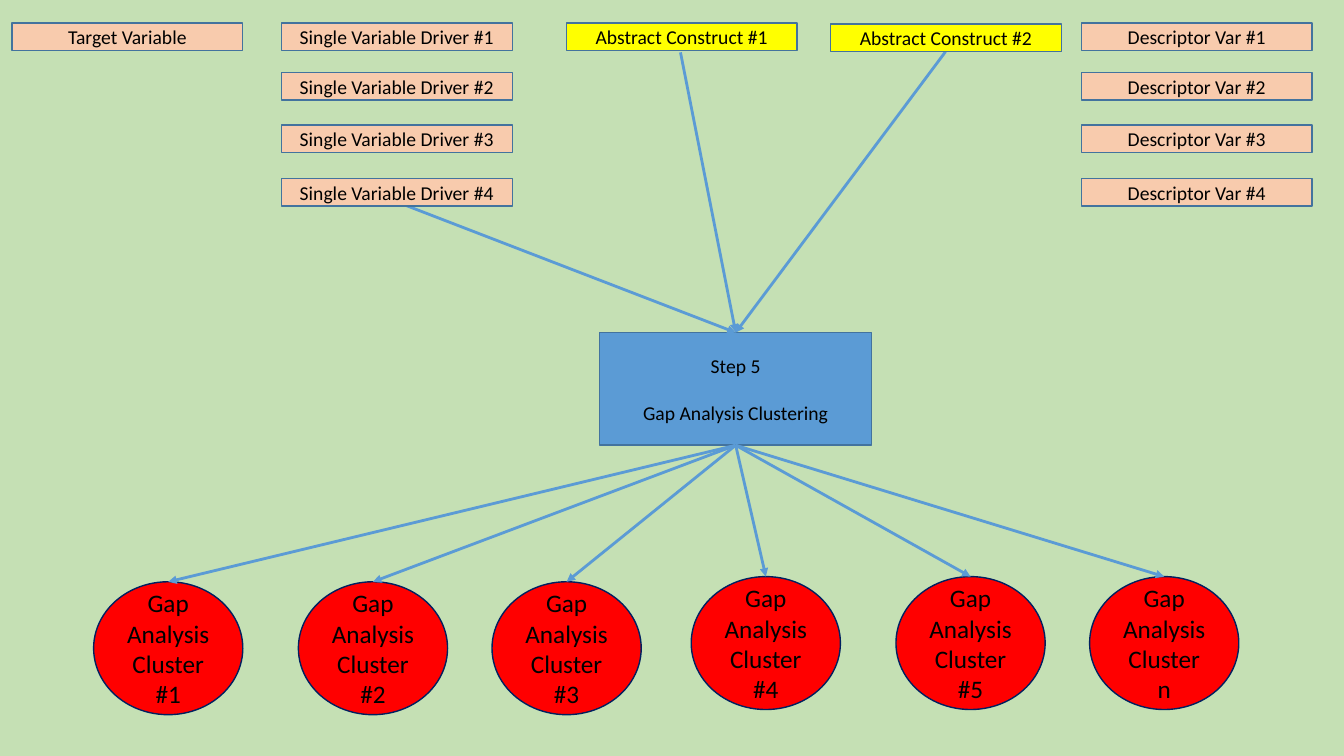
"""Builds the Step 5 gap analysis clustering slide."""
from dataclasses import dataclass

from lxml import etree
from pptx import Presentation
from pptx.dml.color import RGBColor
from pptx.enum.shapes import MSO_CONNECTOR, MSO_SHAPE
from pptx.enum.text import MSO_ANCHOR, PP_ALIGN
from pptx.oxml.ns import qn
from pptx.util import Cm, Pt

RECTANGLE, OVAL = MSO_SHAPE.RECTANGLE, MSO_SHAPE.OVAL
STRAIGHT = MSO_CONNECTOR.STRAIGHT
MIDDLE, CENTER = MSO_ANCHOR.MIDDLE, PP_ALIGN.CENTER


@dataclass(frozen=True)
class Theme:
    font: str = "Calibri"
    background: RGBColor = RGBColor(0xC5, 0xE0, 0xB4)
    text: RGBColor = RGBColor(0, 0, 0)
    blue: RGBColor = RGBColor(0x5B, 0x9B, 0xD5)
    outline: RGBColor = RGBColor(0x43, 0x73, 0x9E)
    variable: RGBColor = RGBColor(0xF8, 0xCB, 0xAD)
    construct: RGBColor = RGBColor(0xFF, 0xFF, 0)
    cluster: RGBColor = RGBColor(0xFF, 0, 0)
    cluster_outline: RGBColor = RGBColor(0, 0x20, 0x60)
    box_size: Pt = Pt(14)
    cluster_size: Pt = Pt(18)


theme = Theme()
presentation = Presentation()
presentation.slide_width, presentation.slide_height = Cm(33.87), Cm(19.05)
slide = presentation.slides.add_slide(presentation.slide_layouts[6])
slide.background.fill.solid()
slide.background.fill.fore_color.rgb = theme.background


def add_label(kind, box, lines, fill, outline, size, gap=0):
    shape = slide.shapes.add_shape(kind, *map(Cm, box))
    shape.shadow.inherit = False
    shape.fill.solid()
    shape.fill.fore_color.rgb = fill
    shape.line.color.rgb = outline
    shape.line.width = Pt(1)
    frame = shape.text_frame
    frame.word_wrap = True
    frame.vertical_anchor = MIDDLE
    frame.text = "\n".join(lines)
    for index, paragraph in enumerate(frame.paragraphs):
        paragraph.alignment = CENTER
        paragraph.space_before = Pt(gap if index else 0)
        paragraph.font.name = theme.font
        paragraph.font.size = size
        paragraph.font.color.rgb = theme.text


def add_arrow(start, end):
    connector = slide.shapes.add_connector(STRAIGHT, *map(Cm, start + end))
    connector.line.color.rgb = theme.blue
    connector.line.width = Pt(2)
    line = connector.line._get_or_add_ln()
    etree.SubElement(line, qn("a:tailEnd"), type="triangle")
    etree.SubElement(connector._element.spPr, qn("a:effectLst"))


step_left, step_top, step_width, step_height = 15.11, 8.38, 6.86, 2.84
step_center = step_left + step_width / 2
step_entry = (step_center, step_top)
step_exit = (step_center, step_top + step_height)
add_label(RECTANGLE, (step_left, step_top, step_width, step_height),
          ["Step 5", "Gap Analysis Clustering"],
          theme.blue, theme.outline, theme.box_size, gap=17)

for source in [(9.98, 5.08), (17.15, 1.32), (23.83, 1.3)]:
    add_arrow(source, step_entry)

box_width, box_height = 5.82, 0.69
row_tops = [0.58, 1.83, 3.15, 4.5]
columns = [
    (0.3, ["Target Variable"]),
    (7.09, [f"Single Variable Driver #{n}" for n in range(1, 5)]),
    (27.25, [f"Descriptor Var #{n}" for n in range(1, 5)]),
]
for left, names in columns:
    for top, name in zip(row_tops, names):
        add_label(RECTANGLE, (left, top, box_width, box_height), [name],
                  theme.variable, theme.outline, theme.box_size)

for left, top, name in [(14.27, 0.58, "Abstract Construct #1"),
                        (20.93, 0.61, "Abstract Construct #2")]:
    add_label(RECTANGLE, (left, top, box_width, box_height), [name],
              theme.construct, theme.outline, theme.box_size)

cluster_width, cluster_height = 3.76, 3.35
trio_offsets = [0, 5.16, 10.04]
trios = [(2.36, 14.66, ["#1", "#2", "#3"]), (17.42, 14.53, ["#4", "#5", "n"])]
for trio_left, top, suffixes in trios:
    for offset, suffix in zip(trio_offsets, suffixes):
        left = trio_left + offset
        add_label(OVAL, (left, top, cluster_width, cluster_height),
                  ["Gap Analysis", f"Cluster {suffix}"],
                  theme.cluster, theme.cluster_outline, theme.cluster_size)
        add_arrow(step_exit, (left + cluster_width / 2, top))

presentation.save("out.pptx")
